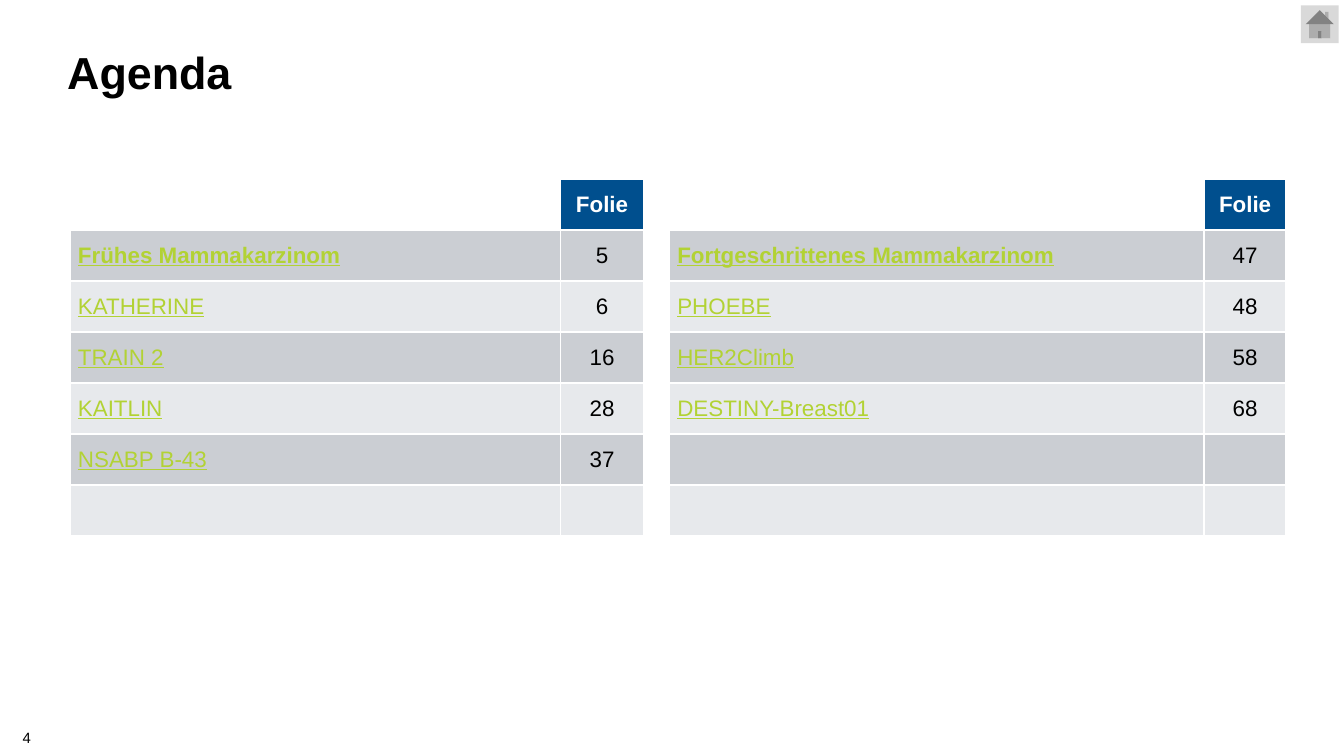
"""Build the agenda slide with two lists of studies and their page numbers."""
from lxml import etree
from pptx import Presentation
from pptx.dml.color import RGBColor
from pptx.enum.shapes import MSO_SHAPE
from pptx.enum.text import MSO_ANCHOR, PP_ALIGN
from pptx.oxml.ns import qn
from pptx.util import Inches, Pt

HOME = MSO_SHAPE.ACTION_BUTTON_HOME
MIDDLE = MSO_ANCHOR.MIDDLE
LEFT, CENTER = PP_ALIGN.LEFT, PP_ALIGN.CENTER

SLIDE_WIDTH = 10
SLIDE_HEIGHT = SLIDE_WIDTH * 9 / 16
FONT = "Arial"
COLORS = {
    "text": "000000", "white": "FFFFFF", "header": "004F8E", "link": "B2D234",
    "dark_band": "CBCED3", "light_band": "E7E9EC", "button": "D9D9D9",
}

TITLE = "Agenda"
PAGE_NUMBER = "4"
PAGE_HEADER = "Folie"
EARLY = [
    ("Frühes Mammakarzinom", "5"),
    ("KATHERINE", "6"),
    ("TRAIN 2", "16"),
    ("KAITLIN", "28"),
    ("NSABP B-43", "37"),
]
ADVANCED = [
    ("Fortgeschrittenes Mammakarzinom", "47"),
    ("PHOEBE", "48"),
    ("HER2Climb", "58"),
    ("DESTINY-Breast01", "68"),
]
SECTIONS = {0: EARLY, 3: ADVANCED}
GAP_COLUMN = 2
COLUMN_WIDTHS = [3.65, 0.62, 0.19, 3.98, 0.61]
ROW_COUNT, ROW_HEIGHT = 7, 0.38


def rgb(name):
    return RGBColor.from_string(COLORS[name])


def style(paragraph, size, color, bold=False, underline=False, align=LEFT):
    paragraph.alignment = align
    font = paragraph.font
    font.name, font.size, font.bold = FONT, Pt(size), bold
    font.underline = underline
    font.color.rgb = rgb(color)


def set_margins(target, horizontal, vertical):
    target.margin_left = target.margin_right = Inches(horizontal)
    target.margin_top = target.margin_bottom = Inches(vertical)


def add_borders(cell):
    properties = cell._tc.get_or_add_tcPr()
    for side in ("a:lnL", "a:lnR", "a:lnT", "a:lnB"):
        line = etree.SubElement(properties, qn(side), w=str(Pt(1)))
        fill = etree.SubElement(line, qn("a:solidFill"))
        etree.SubElement(fill, qn("a:srgbClr"), val=COLORS["white"])


def fill_cell(cell, text, background, color, bold, underline, align):
    add_borders(cell)
    cell.fill.solid()
    cell.fill.fore_color.rgb = rgb(background)
    cell.vertical_anchor = MIDDLE
    set_margins(cell, 0.06, 0.04)
    cell.text = text
    style(cell.text_frame.paragraphs[0], 12, color, bold, underline, align)


def add_agenda(slide):
    table = slide.shapes.add_table(
        ROW_COUNT, len(COLUMN_WIDTHS), Inches(0.52), Inches(1.33),
        Inches(sum(COLUMN_WIDTHS)), Inches(ROW_COUNT * ROW_HEIGHT)).table
    for column, width in zip(table.columns, COLUMN_WIDTHS):
        column.width = Inches(width)
    for row in table.rows:
        row.height = Inches(ROW_HEIGHT)

    for r in range(ROW_COUNT):
        band = "dark_band" if r % 2 else "light_band"
        name_fill = band if r else "white"
        page_fill = band if r else "header"
        page_color = "text" if r else "white"
        fill_cell(table.cell(r, GAP_COLUMN), "", "white", "text", False, False, LEFT)
        for first, studies in SECTIONS.items():
            entries = [("", PAGE_HEADER)] + studies
            name, page = entries[r] if r < len(entries) else ("", "")
            fill_cell(table.cell(r, first), name, name_fill, "link", r == 1, True, LEFT)
            fill_cell(table.cell(r, first + 1), page, page_fill, page_color,
                      r == 0, False, CENTER)


def main():
    presentation = Presentation()
    presentation.slide_width = Inches(SLIDE_WIDTH)
    presentation.slide_height = Inches(SLIDE_HEIGHT)
    slide = presentation.slides.add_slide(presentation.slide_layouts[5])

    title = slide.shapes.title
    title.left, title.top = Inches(0.5), Inches(0.3)
    title.width, title.height = Inches(9), Inches(0.52)
    heading = title.text_frame
    heading.text = TITLE
    heading.vertical_anchor = MIDDLE
    set_margins(heading, 0.1, 0.05)
    heading.margin_left = 0
    heading.paragraphs[0].line_spacing = 0.9
    style(heading.paragraphs[0], 24, "text", bold=True)

    number = slide.shapes.add_textbox(
        Inches(0.07), Inches(5.37), Inches(0.43), Inches(0.2)).text_frame
    number.word_wrap = True
    number.text = PAGE_NUMBER
    style(number.paragraphs[0], 8, "text")

    home = slide.shapes.add_shape(
        HOME, Inches(9.68), Inches(0.04), Inches(0.28), Inches(0.28))
    home.shadow.inherit = False
    home.fill.solid()
    home.fill.fore_color.rgb = rgb("button")
    home.line.fill.background()

    add_agenda(slide)
    presentation.save("out.pptx")


if __name__ == "__main__":
    main()
